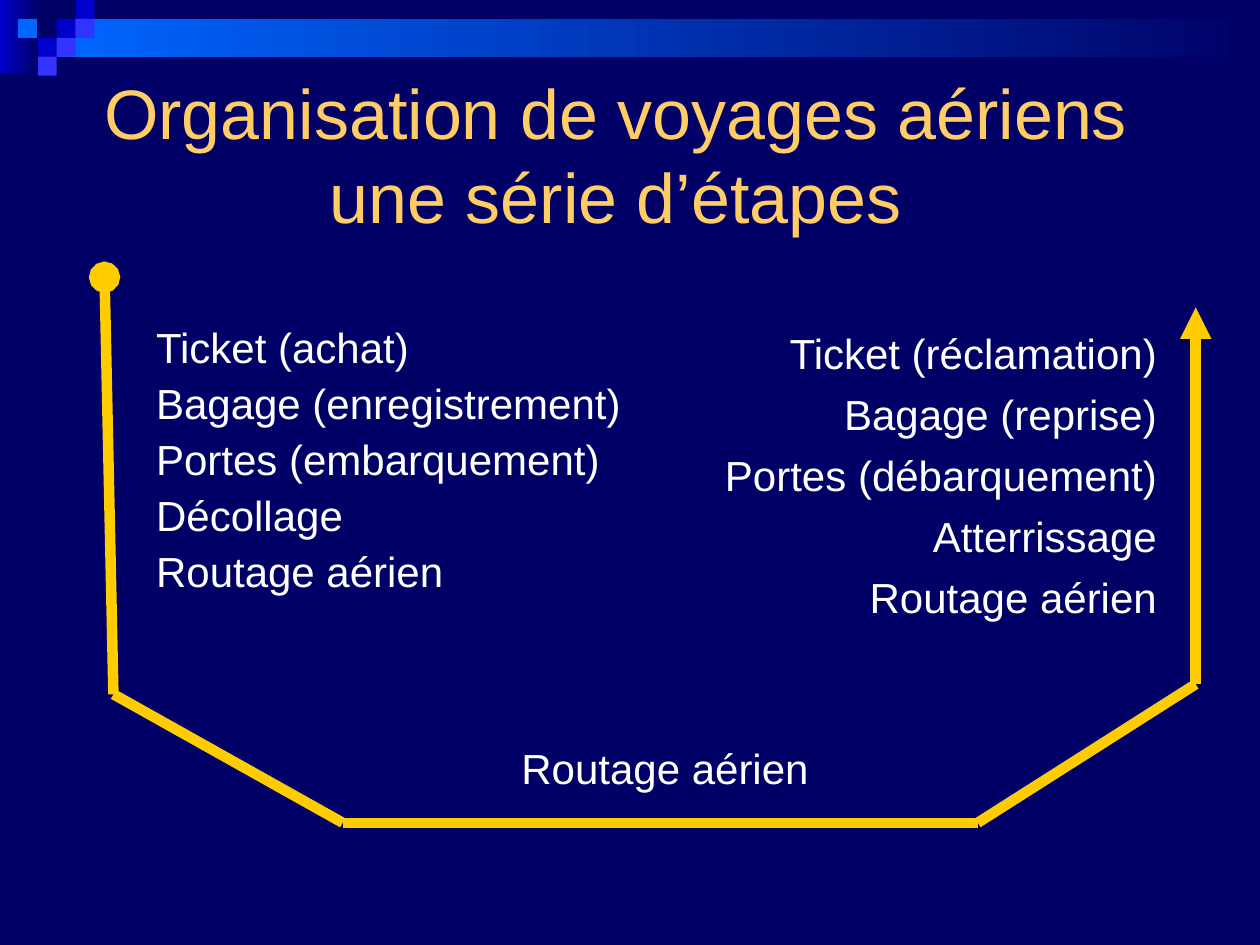
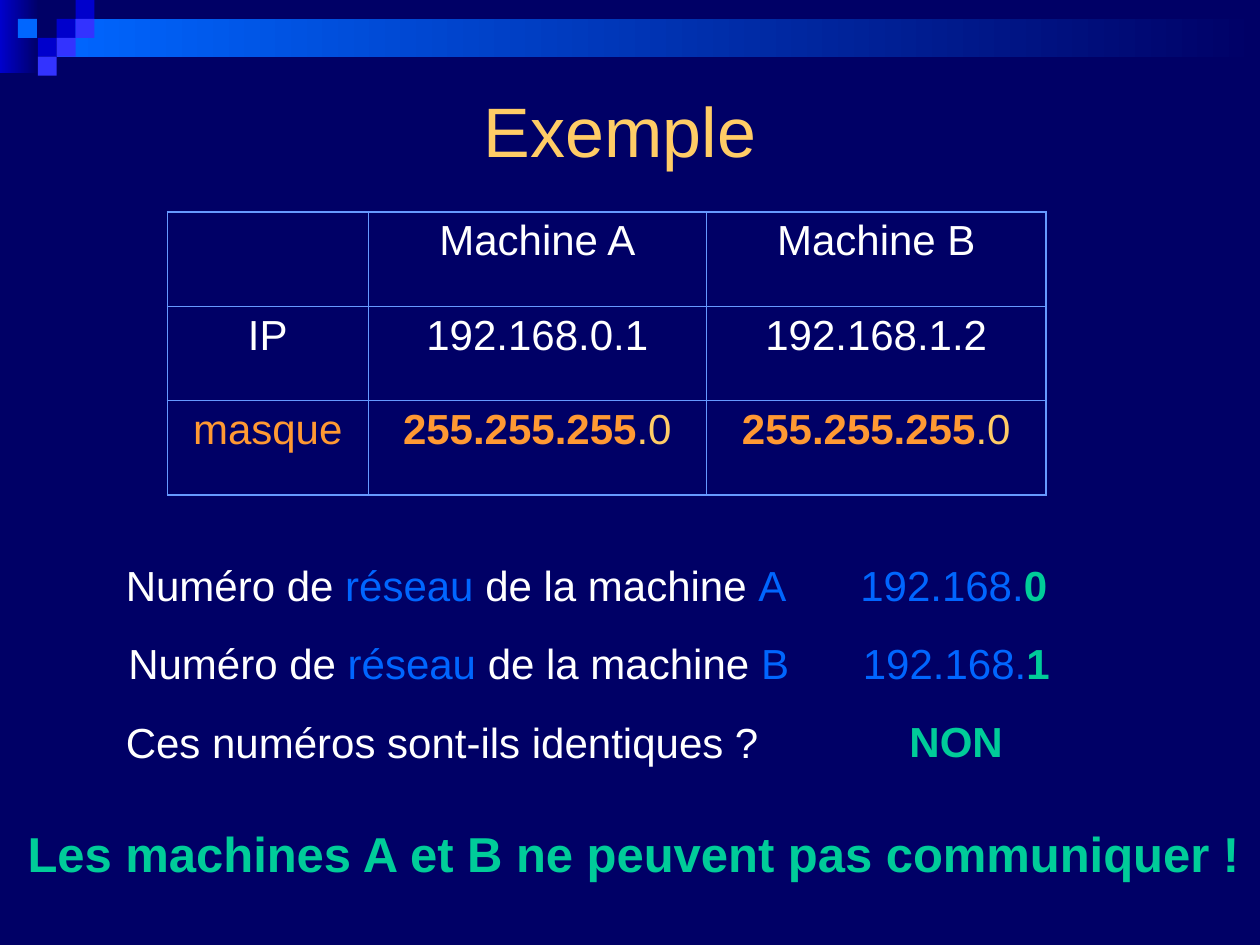
from lxml import etree
from pptx import Presentation
from pptx import util as u
from pptx.dml.color import RGBColor
from pptx.enum import shapes, text
from pptx.oxml import ns

NAVY = RGBColor(0x00, 0x00, 0x66)
DARK_BLUE = RGBColor(0x00, 0x00, 0xCC)
VIOLET_BLUE = RGBColor(0x33, 0x33, 0xFF)
BRIGHT_BLUE = RGBColor(0x00, 0x66, 0xFF)
BORDER_BLUE = RGBColor(0x66, 0x99, 0xFF)
TITLE_GOLD = RGBColor(0xFF, 0xCC, 0x66)
ROUTE_YELLOW = RGBColor(0xFF, 0xCC, 0x00)
ORANGE = RGBColor(0xFF, 0x99, 0x33)
GREEN = RGBColor(0x00, 0xCC, 0x99)
WHITE = RGBColor(0xFF, 0xFF, 0xFF)
LEFT, CENTER, RIGHT = text.PP_ALIGN.LEFT, text.PP_ALIGN.CENTER, text.PP_ALIGN.RIGHT


def write_runs(paragraph, runs, size=24, align=LEFT, **spacing):
    """Fill a paragraph with (wording, colour, bold) runs."""
    for name, value in {"alignment": align, **spacing}.items():
        setattr(paragraph, name, value)
    for wording, colour, bold in runs:
        run = paragraph.add_run()
        run.text = wording
        for name, value in {"name": "Arial", "size": u.Pt(size), "bold": bold}.items():
            setattr(run.font, name, value)
        run.font.color.rgb = colour


def add_text(slide, place, lines, anchor=text.MSO_ANCHOR.TOP, **style):
    """Add a text box; each line is a list of runs."""
    frame = slide.shapes.add_textbox(*map(u.Inches, place)).text_frame
    for name, value in {"word_wrap": True, "vertical_anchor": anchor}.items():
        setattr(frame, name, value)
    for index, runs in enumerate(lines):
        paragraph = frame.add_paragraph() if index else frame.paragraphs[0]
        write_runs(paragraph, runs, **style)


presentation = Presentation()
presentation.slide_width = u.Inches(10)
presentation.slide_height = u.Inches(7.5)
background = presentation.slide_master.background.fill
background.solid()
background.fore_color.rgb = NAVY

# Shared header: two fading bands, a mosaic of squares, and the title
SQUARE = 0.15
HEADER_PARTS = [((0, 0, 0.31, 0.58), DARK_BLUE, True), ((0.45, 0.15, 9.55, 0.3), BRIGHT_BLUE, True)]
for column, row, colour in [(3, 1, DARK_BLUE), (4, 0, DARK_BLUE), (4, 1, VIOLET_BLUE),
                            (2, 2, DARK_BLUE), (0.95, 1, BRIGHT_BLUE),
                            (3, 2, VIOLET_BLUE), (2, 3, VIOLET_BLUE)]:
    HEADER_PARTS.append(((column * SQUARE, row * SQUARE, SQUARE, SQUARE), colour, False))

slides = []
for title, place in [("Organisation de voyages aériens une série d’étapes", (0.63, 0.51, 8.51, 1.42)),
                     ("Exemple", (0.67, 0.53, 8.5, 1))]:
    slide = presentation.slides.add_slide(presentation.slide_layouts[6])
    for box, colour, fades in HEADER_PARTS:
        shape = slide.shapes.add_shape(shapes.MSO_SHAPE.RECTANGLE, *map(u.Inches, box))
        shape.shadow.inherit = False
        shape.line.fill.background()
        if fades:
            shape.fill.gradient()
            shape.fill.gradient_angle = 180
            for stop, stop_colour in zip(shape.fill.gradient_stops, (NAVY, colour)):
                stop.color.rgb = stop_colour
        else:
            shape.fill.solid()
            shape.fill.fore_color.rgb = colour
    add_text(slide, place, [[(title, TITLE_GOLD, False)]], text.MSO_ANCHOR.MIDDLE, size=40, align=CENTER)
    slides.append(slide)
travel, example = slides

# Slide 1: steps before and after the flight
departure = ["Ticket (achat)", "Bagage (enregistrement)", "Portes (embarquement)",
             "Décollage", "Routage aérien"]
arrival = ["Ticket (réclamation)", "Bagage (reprise)", "Portes (débarquement)",
           "Atterrissage", "Routage aérien"]
for steps, place, align, spacing in [(departure, (1.14, 2.55, 4.25, 2.5), LEFT, 0.9),
                                     (arrival, (5.42, 2.55, 3.86, 2.47), RIGHT, 1.0)]:
    add_text(travel, place, [[(step, WHITE, False)] for step in steps], align=align,
             line_spacing=spacing, space_before=u.Pt(6))
add_text(travel, (4.04, 5.84, 2.6, 0.5), [[("Routage aérien", WHITE, False)]])

# Slide 1: route from the starting dot to the arrow
route = [(0.83, 2.2), (0.9, 5.51), (2.72, 6.53), (7.76, 6.53), (9.49, 5.43), (9.49, 2.44)]
legs = list(zip(route, route[1:]))
line_ends = {0: ("a:headEnd", "oval"), len(legs) - 1: ("a:tailEnd", "triangle")}
for index, (start, end) in enumerate(legs):
    leg = travel.shapes.add_connector(shapes.MSO_CONNECTOR.STRAIGHT, *map(u.Inches, start + end))
    leg.line.width = u.Pt(6)
    leg.line.color.rgb = ROUTE_YELLOW
    properties = leg.line.fill._xPr
    if index in line_ends:
        tag, kind = line_ends[index]
        etree.SubElement(properties, ns.qn(tag), type=kind)
    etree.SubElement(properties.getparent(), ns.qn("a:effectLst"))

# Slide 2: addresses and masks
mask = [("255.255.255", ORANGE, True), (".0", TITLE_GOLD, False)]
rows = [
    [[], [("Machine A", WHITE, False)], [("Machine B", WHITE, False)]],
    [[("IP", WHITE, False)], [("192.168.0.1", WHITE, False)], [("192.168.1.2", WHITE, False)]],
    [[("masque", ORANGE, False)], mask, mask],
]
table = example.shapes.add_table(3, 3, *map(u.Inches, (1.33, 1.68, 6.98, 2.25))).table
table.first_row = table.horz_banding = False
for column, width in zip(table.columns, (1.59, 2.69, 2.69)):
    column.width = u.Inches(width)
for row_index, row in enumerate(rows):
    for column_index, runs in enumerate(row):
        cell = table.cell(row_index, column_index)
        cell.fill.background()
        write_runs(cell.text_frame.paragraphs[0], runs, align=CENTER)
        outer_sides = {"a:lnL": column_index == 0, "a:lnR": column_index == 2,
                       "a:lnT": row_index == 0, "a:lnB": row_index == 2}
        for position, (tag, outer) in enumerate(outer_sides.items()):
            border = etree.Element(ns.qn(tag), w=str(u.Pt(1.08 if outer else 0.45)))
            fill = etree.SubElement(border, ns.qn("a:solidFill"))
            etree.SubElement(fill, ns.qn("a:srgbClr"), val=str(BORDER_BLUE))
            cell._tc.get_or_add_tcPr().insert(position, border)

# Slide 2: network numbers
for machine, number, left, top in [("A", "0", 0.9, 4.39), ("B", "1", 0.92, 5.01)]:
    add_text(example, (left, top, 5.63, 0.5), [[
        ("Numéro de ", WHITE, False), ("réseau ", BRIGHT_BLUE, False),
        ("de la machine ", WHITE, False), (machine, BRIGHT_BLUE, False)]])
    add_text(example, (left + 5.83, top, 2, 0.5),
             [[("192.168.", BRIGHT_BLUE, False), (number, GREEN, True)]])

# Slide 2: question, answer and conclusion
add_text(example, (0.9, 5.64, 5.63, 0.5), [[("Ces numéros sont-ils identiques ?", WHITE, False)]])
add_text(example, (7.12, 5.63, 1.1, 0.5), [[("NON", GREEN, True)]])
add_text(example, (0.12, 6.49, 9.88, 0.57),
         [[("Les machines A et B ne peuvent pas communiquer !", GREEN, True)]], size=28)

presentation.save("out.pptx")
